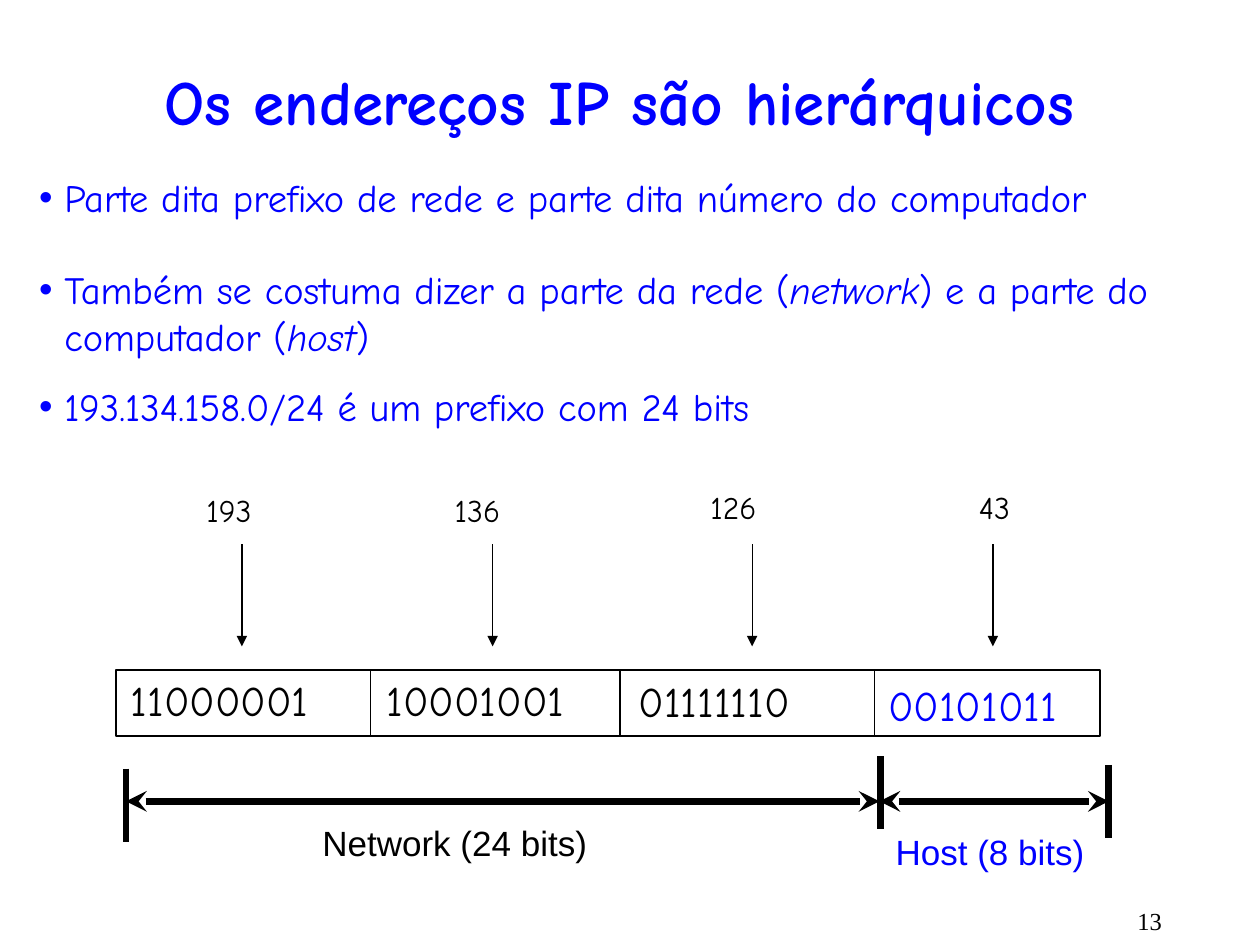
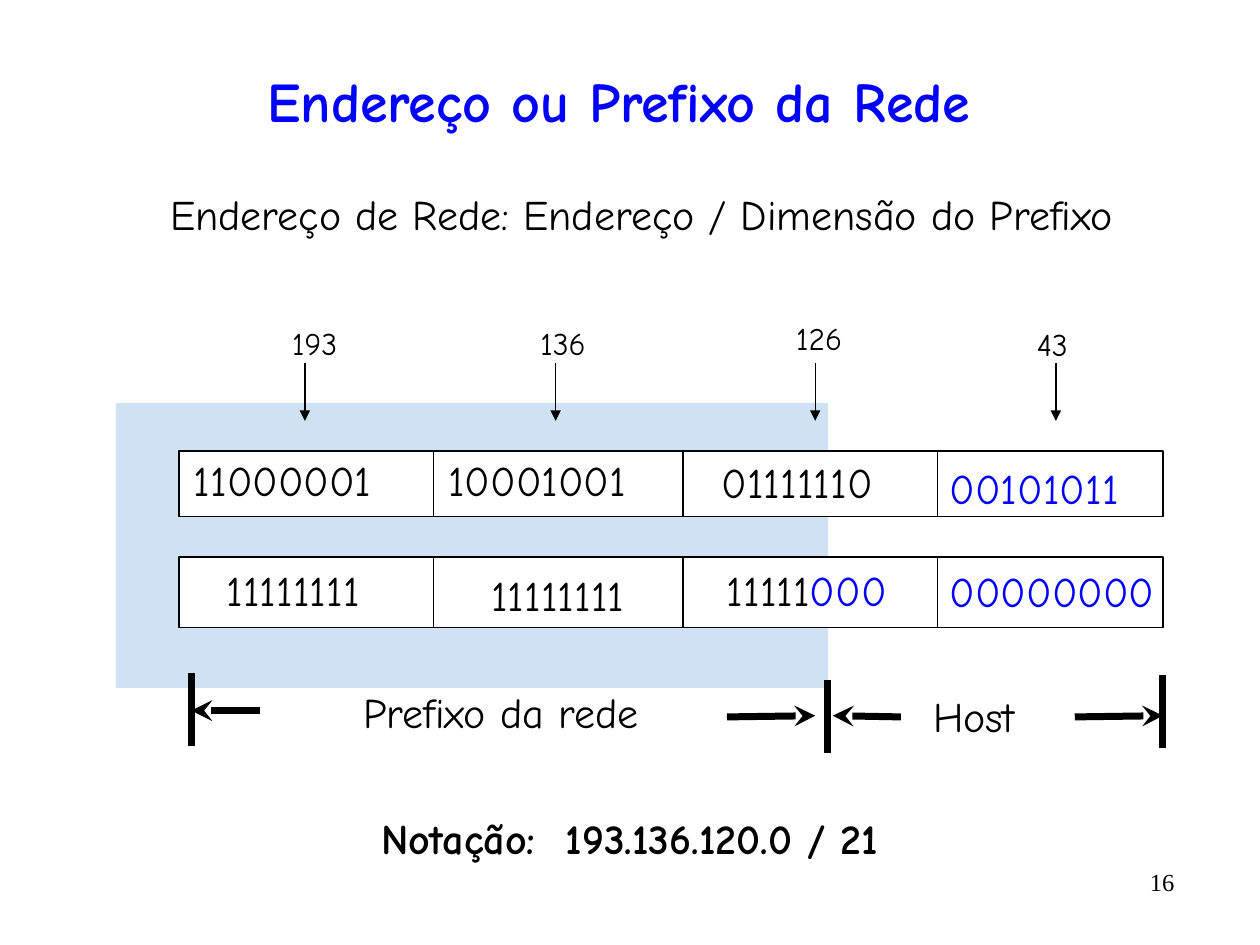
from dataclasses import dataclass

from lxml import etree
from pptx import Presentation
from pptx import util as u
from pptx.dml.color import RGBColor
from pptx.enum import shapes, text
from pptx.oxml import ns
from pptx.slide import Slide
from pptx.util import Inches

COLORS = {"black": "000000", "blue": "0000FF", "white": "FFFFFF", "band": "CFE2F3"}
HAND, SANS, SERIF = "Comic Neue", "Arial", "Times New Roman"
LEFT, CENTER, RIGHT = text.PP_ALIGN.LEFT, text.PP_ALIGN.CENTER, text.PP_ALIGN.RIGHT

ROW_WIDTH = 7.81
DIVIDER_OFFSETS = (2.02, 4.0, 6.02)
DECIMALS = ("193", "136", "126", "43")
ARROW_OFFSETS = (1.0, 2.99, 5.05, 6.96)
TICK_HEIGHT = 0.58
HEAVY, MEDIUM, THIN = 4, 1, 0.75


@dataclass
class Run:
    content: str
    color: str = "black"
    italic: bool = False


@dataclass
class Label:
    """Text placed by the top left corner of its box."""
    runs: list[Run]
    left: float
    top: float
    width: float = 2.08
    size: int = 24
    font: str = HAND
    bold: bool = False
    align: text.PP_ALIGN = LEFT


@dataclass
class Line:
    start: tuple[float, float]
    end: tuple[float, float]
    width: float = HEAVY
    head: str = ""
    tail: str = ""


@dataclass
class Row:
    """Box of four octets."""
    left: float
    top: float
    height: float = 0.52


def rgb(name: str) -> RGBColor:
    return RGBColor.from_string(COLORS[name])


def add_run(paragraph, content: str, *, size: float, color: str = "black",
            font: str = HAND, bold: bool = False, italic: bool = False) -> None:
    run = paragraph.add_run()
    run.text = content
    run.font.size = u.Pt(size)
    run.font.name = font
    run.font.bold = bold
    run.font.italic = italic
    run.font.color.rgb = rgb(color)


def place(shape, left: float, top: float, width: float, height: float) -> None:
    shape.left, shape.top = Inches(left), Inches(top)
    shape.width, shape.height = Inches(width), Inches(height)


def add_label(slide: Slide, label: Label) -> None:
    box = slide.shapes.add_textbox(Inches(label.left), Inches(label.top),
                                   Inches(label.width), Inches(0.52))
    box.text_frame.word_wrap = True
    paragraph = box.text_frame.paragraphs[0]
    paragraph.alignment = label.align
    for run in label.runs:
        add_run(paragraph, run.content, size=label.size, color=run.color,
                font=label.font, bold=label.bold, italic=run.italic)


def add_line(slide: Slide, line: Line) -> None:
    connector = slide.shapes.add_connector(
        shapes.MSO_CONNECTOR.STRAIGHT, *map(Inches, line.start + line.end))
    connector.line.color.rgb = rgb("black")
    connector.line.width = u.Pt(line.width)
    outline = connector.line._get_or_add_ln()
    for tag, kind in (("a:headEnd", line.head), ("a:tailEnd", line.tail)):
        if kind:
            etree.SubElement(outline, ns.qn(tag), type=kind)
    etree.SubElement(connector._element.spPr, ns.qn("a:effectLst"))


def add_tick(slide: Slide, x: float, top: float) -> None:
    add_line(slide, Line((x, top), (x, top + TICK_HEIGHT)))


def add_rectangle(slide: Slide, left: float, top: float, width: float, height: float,
                  fill: str, outlined: bool) -> None:
    shape = slide.shapes.add_shape(shapes.MSO_SHAPE.RECTANGLE, Inches(left), Inches(top),
                                   Inches(width), Inches(height))
    shape.shadow.inherit = False
    shape.fill.solid()
    shape.fill.fore_color.rgb = rgb(fill)
    if outlined:
        shape.line.color.rgb = rgb("black")
        shape.line.width = u.Pt(MEDIUM)
    else:
        shape.line.fill.background()


def add_row(slide: Slide, row: Row) -> None:
    add_rectangle(slide, row.left, row.top, ROW_WIDTH, row.height, "white", True)
    for offset in DIVIDER_OFFSETS:
        x = row.left + offset
        add_line(slide, Line((x, row.top), (x, row.top + row.height), MEDIUM))


def add_decimals(slide: Slide, row: Row, label_places: list[tuple[float, float]],
                 arrow_top: float, arrow_bottom: float) -> None:
    """Decimal values with arrows down to their octets."""
    for value, (left, top), offset in zip(DECIMALS, label_places, ARROW_OFFSETS):
        add_label(slide, Label([Run(value)], left, top, 0.75, 18))
        x = row.left + offset
        add_line(slide, Line((x, arrow_top), (x, arrow_bottom), THIN, tail="triangle"))


def add_slide(presentation, layout: int, title: str, size: int) -> Slide:
    slide = presentation.slides.add_slide(presentation.slide_layouts[layout])
    shape = slide.shapes.title
    place(shape, 0.33, 0.42, 9.17, 0.75)
    frame = shape.text_frame
    frame.auto_size = text.MSO_AUTO_SIZE.NONE
    frame.vertical_anchor = text.MSO_ANCHOR.MIDDLE
    frame.paragraphs[0].alignment = CENTER
    add_run(frame.paragraphs[0], title, size=size, color="blue", bold=True)
    return slide


def add_page_number(slide: Slide, number: int, right: float, top: float) -> None:
    add_label(slide, Label([Run(str(number))], right - 1, top, 1, 14, SERIF, align=RIGHT))


def fill_bullets(body, items: list[tuple[float, list[Run]]]) -> None:
    """Each item is the space before it, in points, and its runs."""
    frame = body.text_frame
    frame.auto_size = text.MSO_AUTO_SIZE.NONE
    for index, (space, runs) in enumerate(items):
        paragraph = frame.paragraphs[0] if index == 0 else frame.add_paragraph()
        paragraph.space_before = u.Pt(space)
        properties = paragraph._p.get_or_add_pPr()
        properties.set("marL", str(Inches(0.24)))
        properties.set("indent", str(Inches(-0.2)))
        color = etree.SubElement(properties, ns.qn("a:buClr"))
        etree.SubElement(color, ns.qn("a:srgbClr"), val=COLORS["blue"])
        etree.SubElement(properties, ns.qn("a:buChar"), char="•")
        for run in runs:
            add_run(paragraph, run.content, size=22, color=run.color, italic=run.italic)


def build_hierarchy(presentation) -> None:
    slide = add_slide(presentation, 1, "Os endereços IP são hierárquicos", 36)
    body = slide.placeholders[1]
    place(body, 0.17, 1.33, 9.56, 2.88)
    fill_bullets(body, [
        (0, [Run("Parte dita prefixo de rede e parte dita número do computador", "blue")]),
        (26.5, [Run("Também se costuma dizer a parte da rede (", "blue"),
                Run("network", "blue", True),
                Run(") e a parte do computador (", "blue"),
                Run("host", "blue", True),
                Run(")", "blue")]),
        (14, [Run("193.134.158.0/24 é um prefixo com 24 bits", "blue")]),
    ])

    row = Row(0.92, 5.32)
    add_row(slide, row)
    add_decimals(slide, row, [(1.54, 3.85), (3.51, 3.85), (5.54, 3.82), (7.67, 3.82)],
                 4.32, 5.13)
    for label in (
        Label([Run("11000001")], 0.94, 5.3),
        Label([Run("10001001")], 2.97, 5.3),
        Label([Run("01111110")], 4.97, 5.31),
        Label([Run("00101011", "blue")], 6.95, 5.34),
        Label([Run("Network (24 bits)")], 2.46, 6.47, 2.4, 20, SANS),
        Label([Run("Host (8 bits)", "blue")], 7.01, 6.54, 1.77, 20, SANS),
    ):
        add_label(slide, label)

    for x, top in ((1, 6.1), (6.99, 6), (8.8, 6.07)):
        add_tick(slide, x, top)
    for start, end in ((1, 6.98), (6.98, 8.8)):
        add_line(slide, Line((start, 6.36), (end, 6.36), head="stealth", tail="stealth"))
    add_page_number(slide, 13, 9.32, 7.14)


def build_prefix(presentation) -> None:
    slide = add_slide(presentation, 5, "Endereço ou Prefixo da Rede", 32)
    add_rectangle(slide, 0.92, 3.2, 5.65, 2.26, "band", False)
    address, mask = Row(1.42, 3.58), Row(1.42, 4.42, 0.56)
    for row in (address, mask):
        add_row(slide, row)
    add_decimals(slide, address, [(2.22, 2.52), (4.19, 2.52), (6.22, 2.48), (8.13, 2.53)],
                 2.88, 3.34)
    for label in (
        Label([Run("Endereço de Rede: Endereço / Dimensão do Prefixo")],
              0.77, 1.45, 8.64, align=CENTER),
        Label([Run("11000001")], 1.44, 3.56),
        Label([Run("10001001")], 3.46, 3.56),
        Label([Run("01111110")], 5.63, 3.57),
        Label([Run("00101011", "blue")], 7.44, 3.62),
        Label([Run("11111111")], 1.7, 4.43),
        Label([Run("11111111")], 3.8, 4.47),
        Label([Run("11111"), Run("000", "blue")], 5.67, 4.43),
        Label([Run("00000000", "blue")], 7.44, 4.44),
        Label([Run("Prefixo da rede")], 2.34, 5.4, 3.27, align=CENTER),
        Label([Run("Host")], 6.92, 5.43, 1.62, align=CENTER),
        Label([Run("Notação:  193.136.120.0 / 21")], 1.17, 6.4, 7.65, bold=True, align=CENTER),
    ):
        add_label(slide, label)

    for x, top in ((1.52, 5.34), (6.57, 5.4), (9.23, 5.36)):
        add_tick(slide, x, top)
    for start, end in (
        ((1.52, 5.64), (2.06, 5.64)),
        ((6.47, 5.68), (5.77, 5.69)),
        ((6.61, 5.68), (7.15, 5.69)),
        ((9.23, 5.68), (8.53, 5.69)),
    ):
        add_line(slide, Line(start, end, head="stealth"))
    add_page_number(slide, 16, 9.42, 6.83)


def main() -> None:
    presentation = Presentation()
    presentation.slide_width, presentation.slide_height = Inches(10), Inches(7.5)
    build_hierarchy(presentation)
    build_prefix(presentation)
    presentation.save("out.pptx")


if __name__ == "__main__":
    main()
